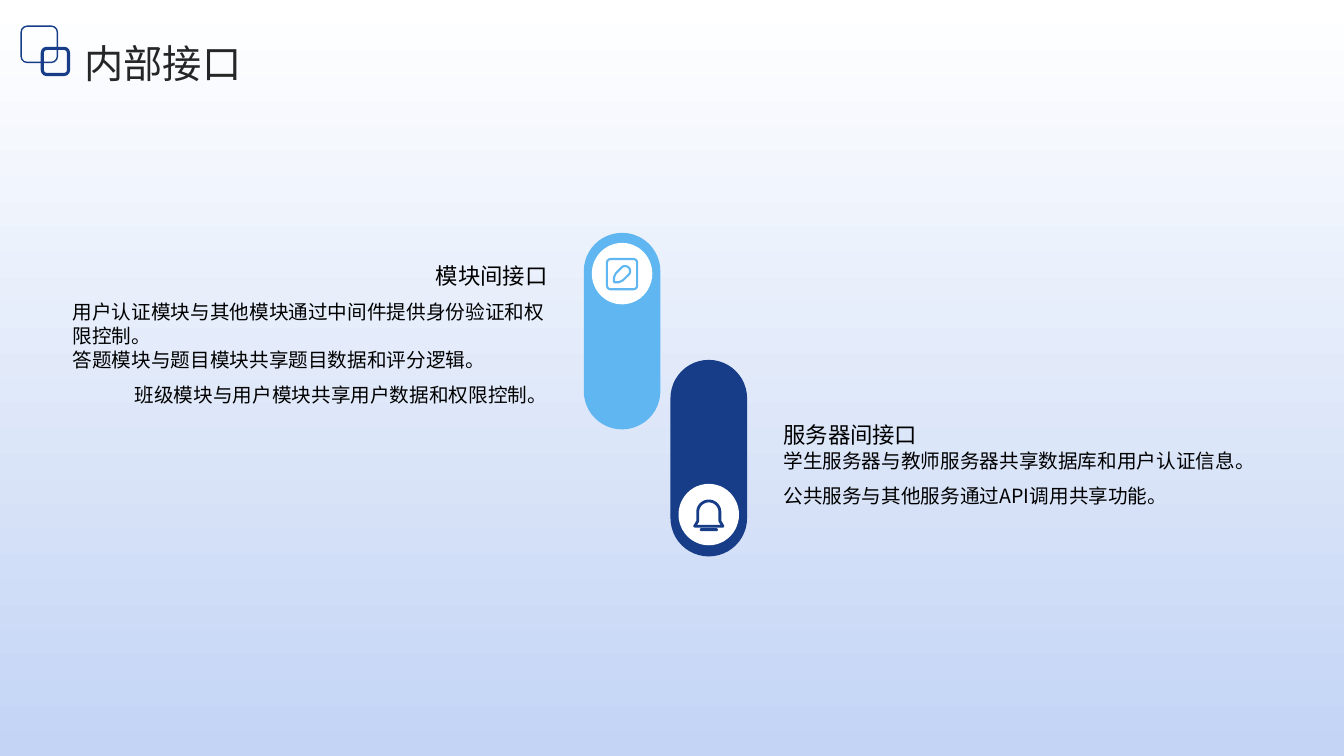
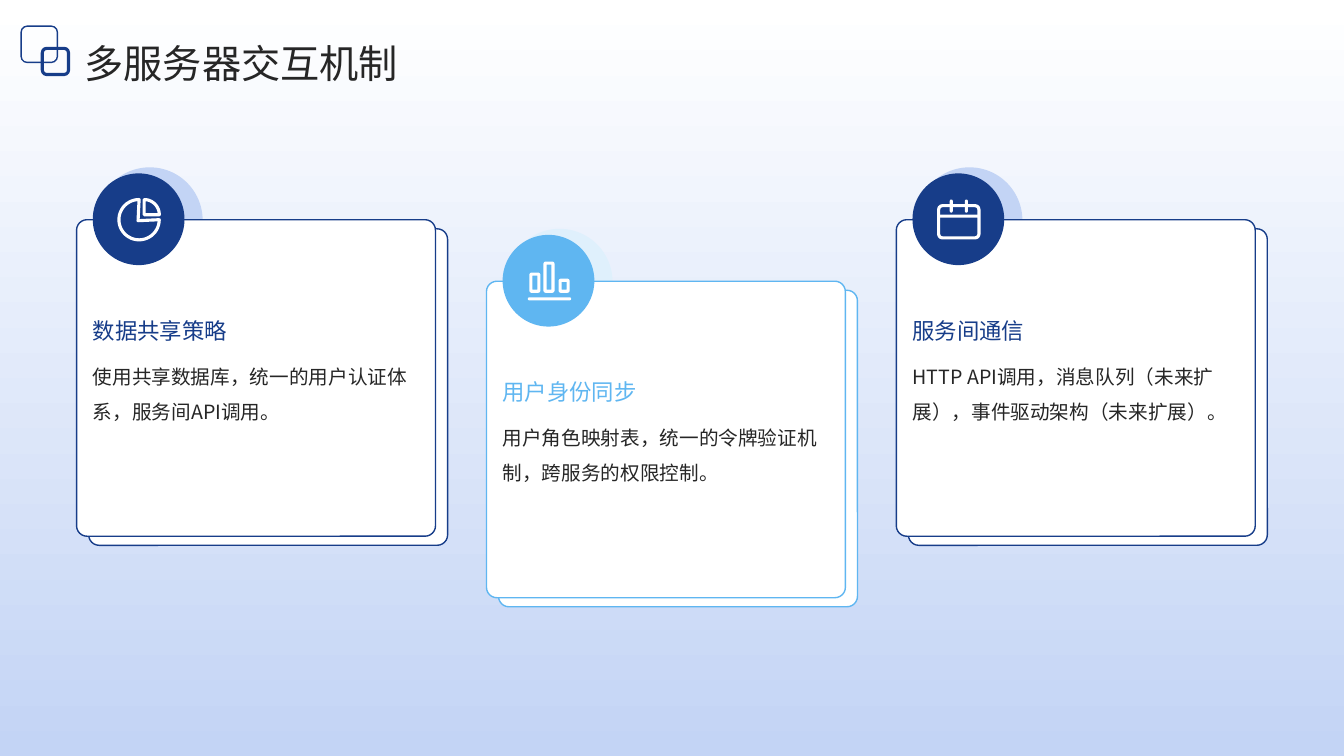
from dataclasses import dataclass
from math import cos, radians, sin

from lxml.etree import SubElement
from pptx import Presentation
from pptx.dml.color import RGBColor
from pptx.enum.shapes import MSO_SHAPE
from pptx.enum.text import MSO_ANCHOR, MSO_AUTO_SIZE, PP_ALIGN
from pptx.oxml.ns import qn
from pptx.util import Inches, Pt


@dataclass(frozen=True)
class Theme:
    font: str = "Noto Sans CJK SC"
    navy: str = "173D89"
    sky: str = "5FB6F1"
    navy_halo: str = "C3D4F5"
    sky_halo: str = "DFF0FC"
    white: str = "FFFFFF"
    black: str = "000000"
    ink: str = "262626"
    title: int = 28
    heading: int = 16
    body: int = 14


THEME = Theme()


def arc(x, y, radius, start, stop, steps=36):
    """Points on a circle, clockwise in degrees from the right."""
    angles = [radians(start + (stop - start) * i / steps) for i in range(steps + 1)]
    return [(x + radius * cos(a), y + radius * sin(a)) for a in angles]


# Content
PILLS = [
    dict(left=5.79, top=2.31, color=THEME.sky, icon="pen", disc=0.1,
         text_left=0.72, text_width=4.71, heading_top=2.26, body_top=2.98,
         align=PP_ALIGN.RIGHT, heading="模块间接口",
         lines=["用户认证模块与其他模块通过中间件提供身份验证和权限控制。",
                "答题模块与题目模块共享题目数据和评分逻辑。",
                "班级模块与用户模块共享用户数据和权限控制。"]),
    dict(left=6.65, top=3.57, color=THEME.navy, icon="bell", disc=1.23,
         text_left=7.77, text_width=4.83, heading_top=3.83, body_top=4.45,
         align=PP_ALIGN.LEFT, heading="服务器间接口",
         lines=["学生服务器与教师服务器共享数据库和用户认证信息。",
                "公共服务与其他服务通过API调用共享功能。"]),
]
CARDS = [
    (2.18, THEME.navy, THEME.navy_halo, "pie", "数据共享策略",
     "使用共享数据库，统一的用户认证体系，服务间API调用。"),
    (2.79, THEME.sky, THEME.sky_halo, "bars", "用户身份同步",
     "用户角色映射表，统一的令牌验证机制，跨服务的权限控制。"),
    (2.18, THEME.navy, THEME.navy_halo, "calendar", "服务间通信",
     "HTTP API调用，消息队列（未来扩展），事件驱动架构（未来扩展）。"),
]
CARD_LEFT, CARD_LAST = 0.76, 8.89
CARD_WIDTH, CARD_HEIGHT = 3.56, 3.14
PILL_WIDTH, PILL_HEIGHT = 0.76, 1.95

# Icon parts in inches from the icon centre: outlined frames, solid bars, outlined paths
ICONS = {
    "pen": dict(
        weight=1.5,
        frames=[(-0.15, -0.15, 0.3, 0.3)],
        paths=[[(-0.08, 0.08), (-0.08, 0.03), (-0.06, -0.01)]
               + arc(0.03, -0.03, 0.05, -135, 45)
               + [(0.01, 0.06), (-0.03, 0.08)]]),
    "bell": dict(
        weight=2,
        bars=[(-0.09, 0.13, 0.18, 0.03)],
        paths=[arc(0, -0.03, 0.11, 180, 360)
               + [(0.11, 0.06), (0.14, 0.11), (-0.14, 0.11), (-0.11, 0.06)]]),
    "pie": dict(
        weight=2.25,
        paths=[arc(0, 0, 0.2, 0, 270) + [(-0.01, 0.01)],
               arc(0.05, -0.05, 0.15, 270, 360) + [(0.05, -0.05)]]),
    "bars": dict(
        weight=2.25,
        frames=[(-0.18, -0.07, 0.08, 0.17), (-0.04, -0.18, 0.08, 0.28),
                (0.11, -0.01, 0.08, 0.11)],
        bars=[(-0.21, 0.16, 0.43, 0.03)]),
    "calendar": dict(
        weight=2.25,
        frames=[(-0.2, -0.14, 0.4, 0.32)],
        bars=[(-0.2, -0.05, 0.4, 0.03), (-0.09, -0.2, 0.03, 0.13),
              (0.06, -0.2, 0.03, 0.13)]),
}


# Helpers
def paint(shape, fill=None, line=None, weight=1):
    shape.shadow.inherit = False
    if fill:
        shape.fill.solid()
        shape.fill.fore_color.rgb = RGBColor.from_string(fill)
    else:
        shape.fill.background()
    if line:
        shape.line.color.rgb = RGBColor.from_string(line)
        shape.line.width = Pt(weight)
    else:
        shape.line.fill.background()


def add_box(page, kind, place, adjust=None, **look):
    box = page.shapes.add_shape(kind, *map(Inches, place))
    if adjust is not None:
        box.adjustments[0] = adjust
    paint(box, **look)


def add_icon(page, name, x, y, color):
    icon = ICONS[name]
    outline = dict(line=color, weight=icon["weight"])
    for group, adjust, look in (("frames", 0.12, outline), ("bars", 0.5, dict(fill=color))):
        for left, top, width, height in icon.get(group, []):
            add_box(page, MSO_SHAPE.ROUNDED_RECTANGLE,
                    (x + left, y + top, width, height), adjust, **look)
    for points in icon.get("paths", []):
        corners = [(Inches(x + dx), Inches(y + dy)) for dx, dy in points]
        builder = page.shapes.build_freeform(*corners[0])
        builder.add_line_segments(corners[1:], close=True)
        paint(builder.convert_to_shape(), **outline)


def write(box, lines, size, color, anchor=MSO_ANCHOR.TOP):
    """Fill a box with (text, alignment, line spacing) paragraphs."""
    frame = box.text_frame
    frame_format = dict(word_wrap=True, auto_size=MSO_AUTO_SIZE.NONE,
                        vertical_anchor=anchor, margin_left=0, margin_right=0,
                        margin_top=0, margin_bottom=0)
    for key, value in frame_format.items():
        setattr(frame, key, value)
    for index, (text, align, spacing) in enumerate(lines):
        para = frame.add_paragraph() if index else frame.paragraphs[0]
        para_format = dict(alignment=align, line_spacing=spacing,
                           space_before=Pt(0), space_after=Pt(0))
        for key, value in para_format.items():
            setattr(para, key, value)
        span = para.add_run()
        span.text = text
        for key, value in dict(name=THEME.font, size=Pt(size), bold=False).items():
            setattr(span.font, key, value)
        span.font.color.rgb = RGBColor.from_string(color)
        east_asian = SubElement(span.font._element, qn("a:ea"))
        east_asian.set("typeface", THEME.font)


def add_text(page, place, *args, **options):
    write(page.shapes.add_textbox(*map(Inches, place)), *args, **options)


def add_page(deck, title):
    page = deck.slides.add_slide(deck.slide_layouts[5])
    box = page.shapes.title
    place = dict(left=0.84, top=0.25, width=11.35, height=0.59)
    for key, value in place.items():
        setattr(box, key, Inches(value))
    write(box, [(title, PP_ALIGN.LEFT, 1.3)], THEME.title, THEME.ink)
    # Corner squares
    for left, top, side, weight in ((0.21, 0.26, 0.36, 1), (0.42, 0.48, 0.26, 2.25)):
        add_box(page, MSO_SHAPE.ROUNDED_RECTANGLE, (left, top, side, side),
                line=THEME.navy, weight=weight)
    return page


def add_pill(page, pill):
    left, top, color = pill["left"], pill["top"], pill["color"]
    add_box(page, MSO_SHAPE.ROUNDED_RECTANGLE,
            (left, top, PILL_WIDTH, PILL_HEIGHT), 0.5, fill=color)
    disc_top = top + pill["disc"]
    add_box(page, MSO_SHAPE.OVAL, (left + 0.08, disc_top, 0.6, 0.61), fill=THEME.white)
    add_icon(page, pill["icon"], left + PILL_WIDTH / 2, disc_top + 0.31, color)
    text_left, width, align = pill["text_left"], pill["text_width"], pill["align"]
    add_text(page, (text_left, pill["heading_top"], width, 0.61),
             [(pill["heading"], align, 1.3)], THEME.heading, THEME.black,
             anchor=MSO_ANCHOR.BOTTOM)
    # Only the closing line is aligned to the pill and widely spaced
    *opening, closing = pill["lines"]
    lines = [(text, PP_ALIGN.LEFT, 1.0) for text in opening] + [(closing, align, 1.5)]
    add_text(page, (text_left, pill["body_top"], width, 2.5),
             lines, THEME.body, THEME.black)


def add_card(page, left, top, color, halo, icon, heading, body):
    def add_sheet(dx, dy):
        add_box(page, MSO_SHAPE.ROUNDED_RECTANGLE,
                (left + dx, top + dy, CARD_WIDTH, CARD_HEIGHT), 0.033,
                fill=THEME.white, line=color)

    add_sheet(0.12, 0.09)
    add_box(page, MSO_SHAPE.OVAL, (left + 0.2, top - 0.52, 1.05, 1.05), fill=halo)
    add_sheet(0, 0)
    inner = left + 0.16
    add_text(page, (inner, top + 1.32, 3.22, 1.6),
             [(body, PP_ALIGN.LEFT, 1.5)], THEME.body, THEME.ink)
    add_text(page, (inner, top + 0.49, 3.22, 0.74),
             [(heading, PP_ALIGN.LEFT, 1.3)], THEME.heading, color,
             anchor=MSO_ANCHOR.BOTTOM)
    add_box(page, MSO_SHAPE.OVAL, (inner, top - 0.46, 0.91, 0.91), fill=color)
    add_icon(page, icon, inner + 0.46, top, THEME.white)


def main():
    deck = Presentation()
    deck.slide_width, deck.slide_height = Inches(13.33), Inches(7.5)

    # Shared background, white at the top
    backdrop = deck.slide_master.background.fill
    backdrop.gradient()
    backdrop.gradient_angle = 270
    for stop, color in zip(backdrop.gradient_stops, (THEME.white, THEME.navy_halo)):
        stop.color.rgb = RGBColor.from_string(color)

    # Internal interfaces
    page = add_page(deck, "内部接口")
    for pill in PILLS:
        add_pill(page, pill)

    # Interaction between servers
    page = add_page(deck, "多服务器交互机制")
    pitch = (CARD_LAST - CARD_LEFT) / (len(CARDS) - 1)
    for index, (top, *details) in enumerate(CARDS):
        add_card(page, CARD_LEFT + index * pitch, top, *details)

    deck.save("out.pptx")


if __name__ == "__main__":
    main()
